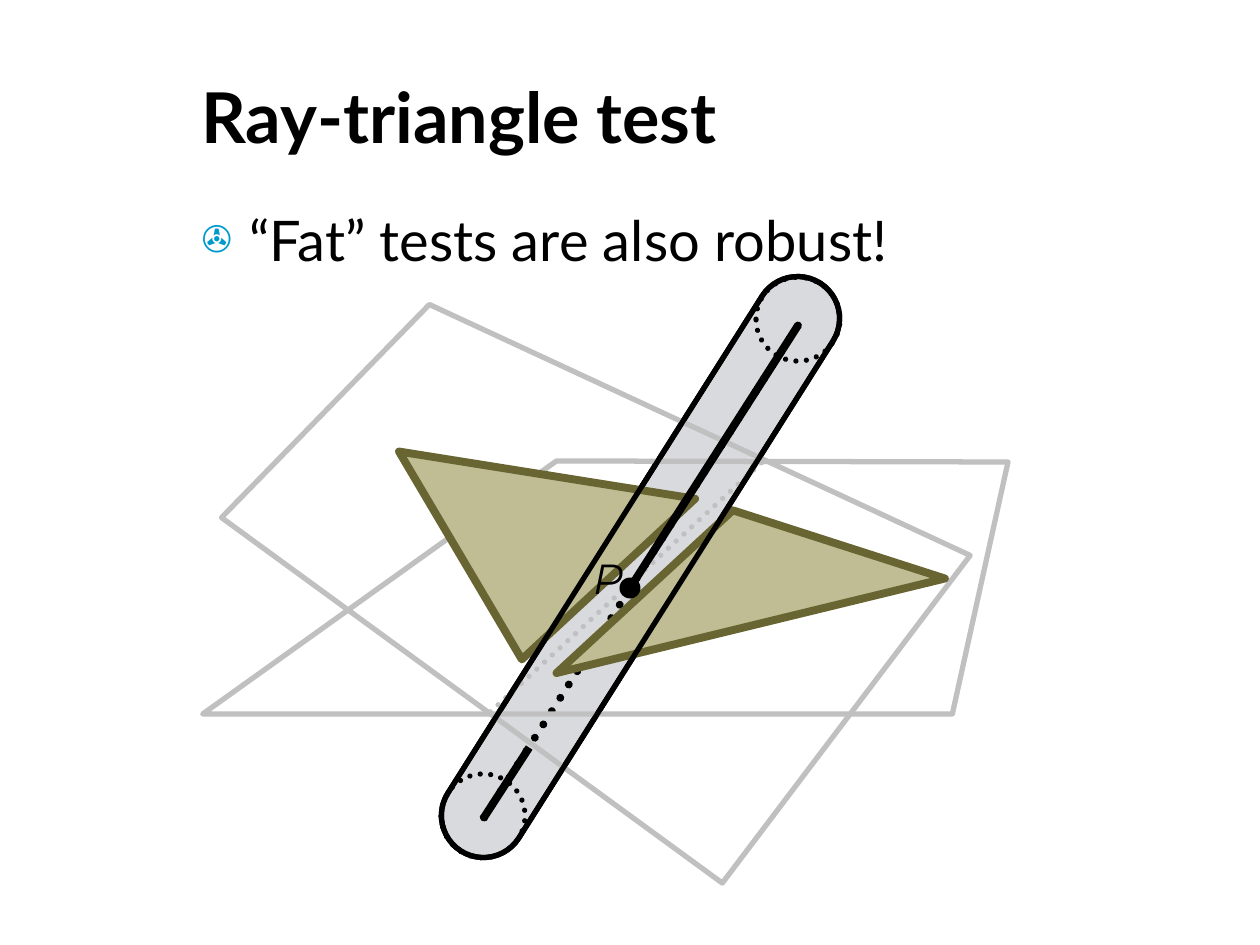
from lxml import etree
from pptx import Presentation
from pptx.dml.color import RGBColor
from pptx.enum.dml import MSO_LINE
from pptx.enum.shapes import MSO_CONNECTOR, MSO_SHAPE
from pptx.enum.text import MSO_ANCHOR, MSO_AUTO_SIZE, PP_ALIGN
from pptx.oxml.ns import qn
from pptx.util import Inches, Pt

DOTTED = MSO_LINE.ROUND_DOT
STRAIGHT = MSO_CONNECTOR.STRAIGHT
OVAL = MSO_SHAPE.OVAL
CAPSULE = MSO_SHAPE.ROUNDED_RECTANGLE
MIDDLE, TOP = MSO_ANCHOR.MIDDLE, MSO_ANCHOR.TOP
FIXED_SIZE, GROWING = MSO_AUTO_SIZE.NONE, MSO_AUTO_SIZE.SHAPE_TO_FIT_TEXT
LEFT = PP_ALIGN.LEFT

COLUMNS, ROWS = 120, 90
CELL = Inches(10) // COLUMNS
BLACK, PLANE_GREY, BULLET_BLUE = "000000", "C0C0C0", "0099CC"
TRIANGLE_FILL, TRIANGLE_EDGE, CAPSULE_FILL = "C0BC94", "686532", "A2A4AC"
FAT_RAY_ANGLE = 302.3


def cells(*counts):
    """Turn grid counts into lengths."""
    return [round(count * CELL) for count in counts]


def colour(hex_code):
    """Turn a hex string into a colour."""
    return RGBColor.from_string(hex_code)


def add_xml(parent, tag, **attributes):
    """Append a DrawingML element and return it."""
    return etree.SubElement(parent, qn(tag), attributes)


def style_stroke(stroked, hex_code, width, dash=None):
    """Give a shape or connector a round-capped, round-joined stroke."""
    stroke = stroked.line
    stroke.color.rgb = colour(hex_code)
    stroke.width = Pt(width)
    if dash is not None:
        stroke.dash_style = dash
    outline = stroked._element.spPr.find(qn("a:ln"))
    outline.set("cap", "rnd" if dash is not None else "flat")
    add_xml(outline, "a:round")


def style_fill(shape, hex_code=None, opacity=100):
    """Fill a shape, optionally see-through, and remove its shadow."""
    shape.shadow.inherit = False
    if hex_code is None:
        shape.fill.background()
        return
    shape.fill.solid()
    shape.fill.fore_color.rgb = colour(hex_code)
    if opacity < 100:
        tint = shape._element.spPr.find(qn("a:solidFill"))[0]
        add_xml(tint, "a:alpha", val=str(opacity * 1000))


def style_text(paragraph, size, font_name="Lato", bold=False, italic=False):
    """Format all runs of a left-aligned paragraph."""
    paragraph.alignment = LEFT
    paragraph.space_before = Pt(0)
    for run in paragraph.runs:
        run.font.name, run.font.size = font_name, Pt(size)
        run.font.bold, run.font.italic = bold, italic
        run.font.color.rgb = colour(BLACK)


def place_text(placeholder, box, text, anchor):
    """Move a placeholder to a grid box and return its only paragraph."""
    placeholder.left, placeholder.top, placeholder.width, placeholder.height = cells(*box)
    frame = placeholder.text_frame
    frame.text = text
    frame.auto_size = FIXED_SIZE
    frame.vertical_anchor = anchor
    return frame.paragraphs[0]


def add_title(slide, box):
    """Fill the title placeholder."""
    heading = place_text(slide.shapes.title, box, "Ray-triangle test", MIDDLE)
    style_text(heading, 40, bold=True)


def add_claim(slide, box):
    """Fill the body placeholder with its single bullet."""
    claim = place_text(slide.placeholders[1], box, "“Fat” tests are also robust!", TOP)
    properties = claim._p.get_or_add_pPr()
    properties.set("marL", str(Inches(0.38)))
    properties.set("indent", str(-Inches(0.38)))
    bullet_colour = add_xml(properties, "a:buClr")
    add_xml(bullet_colour, "a:srgbClr", val=BULLET_BLUE)
    add_xml(properties, "a:buSzPct", val="65000")
    add_xml(properties, "a:buChar", char="✇")
    style_text(claim, 32)


class Diagram:
    """A drawing area whose coordinates count grid cells from its corner."""

    def __init__(self, slide, left, top):
        self.shapes, self.left, self.top = slide.shapes, left, top

    def point(self, x, y):
        """Return a slide position for a point of the drawing."""
        return cells(self.left + x, self.top + y)

    def polygon(self, corners, edge, width, fill=None):
        """Draw a closed outline."""
        first, *others = [self.point(*corner) for corner in corners]
        builder = self.shapes.build_freeform(*first)
        builder.add_line_segments(others, close=True)
        outline = builder.convert_to_shape()
        style_fill(outline, fill)
        style_stroke(outline, edge, width)

    def segment(self, start, end, hex_code, width, dash=None):
        """Draw a straight line."""
        connector = self.shapes.add_connector(STRAIGHT, *self.point(*start), *self.point(*end))
        add_xml(connector._element.spPr, "a:effectLst")
        style_stroke(connector, hex_code, width, dash)

    def centred(self, preset, centre, width, height):
        """Add a preset shape around a centre."""
        corner = self.point(centre[0] - width / 2, centre[1] - height / 2)
        return self.shapes.add_shape(preset, *corner, *cells(width, height))

    def fat_ray(self, centre, length, thickness, fill=None):
        """Draw the capsule around the ray."""
        capsule = self.centred(CAPSULE, centre, length, thickness)
        capsule.adjustments[0] = 0.5
        capsule.rotation = FAT_RAY_ANGLE
        style_fill(capsule, fill, opacity=40)
        style_stroke(capsule, BLACK, 3)

    def hit_point(self, centre):
        """Draw the hit point and its letter."""
        dot = self.centred(OVAL, centre, 2, 2)
        style_fill(dot, BLACK)
        dot.line.fill.background()
        corner = self.point(centre[0] - 4.7, centre[1] - 4)
        label = self.shapes.add_textbox(*corner, *cells(4.7, 6)).text_frame
        label.word_wrap = False
        label.auto_size = GROWING
        label.text = "P"
        style_text(label.paragraphs[0], 24, "Montserrat", italic=True)


def add_diagram(slide, left, top):
    """Draw a fat ray passing through the gap between two triangles."""
    drawing = Diagram(slide, left, top)
    ray_start, hit, ray_exit, ray_end = (58, 5), (42, 30), (32.4, 45.2), (28, 52)
    capsule_box = (43, 28), 64, 8
    planes = [
        [(78, 18), (72.7, 42), (1.3, 42), (35, 17.9)],
        [(22.9, 3), (74.4, 26.9), (50.8, 58.1), (3.1, 23.3)],
    ]
    triangles = [
        [(31.7, 36.8), (48.2, 21.5), (20, 17)],
        [(35, 38.1), (51.8, 22.6), (72, 29.1)],
    ]
    drawing.fat_ray(*capsule_box, fill=CAPSULE_FILL)
    drawing.segment(ray_start, ray_end, BLACK, 4.5, DOTTED)
    for plane in planes:
        drawing.polygon(plane, PLANE_GREY, 3)
    drawing.segment((28.7, 41.8), (54.6, 18), PLANE_GREY, 3, DOTTED)
    for triangle in triangles:
        drawing.polygon(triangle, TRIANGLE_EDGE, 4.5, TRIANGLE_FILL)
    drawing.hit_point(hit)
    drawing.segment(ray_start, hit, BLACK, 4.5)
    drawing.fat_ray(*capsule_box)
    drawing.segment(ray_exit, ray_end, BLACK, 4.5)
    for cap_centre in [(58, 4.4), (28, 51.7)]:
        cap = drawing.centred(OVAL, cap_centre, 8, 8)
        style_fill(cap)
        style_stroke(cap, BLACK, 3, DOTTED)


def main():
    """Build and save the slide."""
    deck = Presentation()
    deck.slide_width, deck.slide_height = cells(COLUMNS, ROWS)
    slide = deck.slides.add_slide(deck.slide_layouts[1])
    add_title(slide, (18, 5, 99, 12))
    add_claim(slide, (18, 19, 99, 9.2))
    add_diagram(slide, 18, 26)
    deck.save("out.pptx")


if __name__ == "__main__":
    main()
